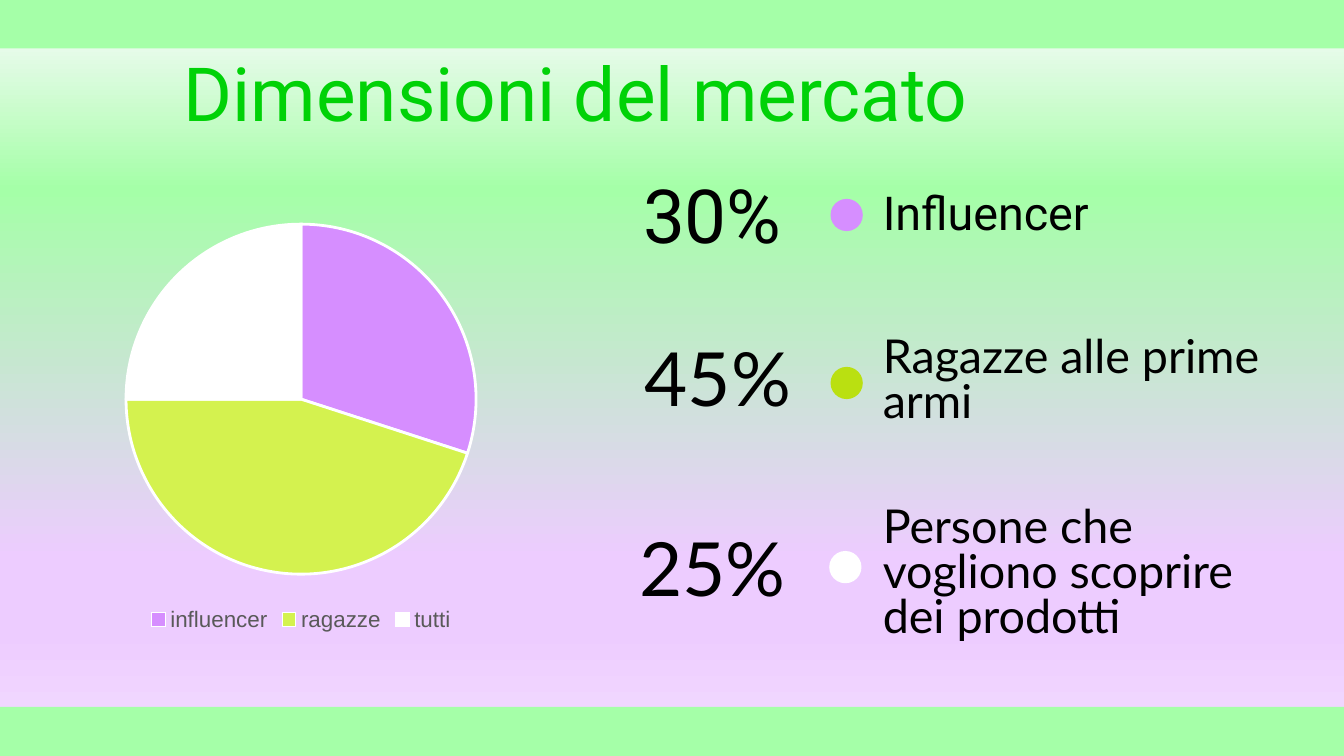
import pptx
import pptx.chart.data
import pptx.dml.color
import pptx.enum.chart
import pptx.enum.shapes
import pptx.enum.text
import pptx.oxml
import pptx.oxml.ns
import pptx.util
from dataclasses import dataclass

Pt = pptx.util.Pt
Anchor = pptx.enum.text.MSO_ANCHOR
Align = pptx.enum.text.PP_ALIGN
Shape = pptx.enum.shapes.MSO_SHAPE


@dataclass(frozen=True)
class Theme:
    green: str = "A5FFA8"
    title: str = "00D207"
    ink: str = "000000"
    legend: str = "595959"
    violet: str = "D68EFF"
    lime: str = "D4F24F"
    olive: str = "BAE011"
    white: str = "FFFFFF"
    large: int = 40
    body: int = 25
    small: int = 12
    inset: float = 7.2
    spacing: float = 0.8


THEME = Theme()
WIDTH, HEIGHT, BAND = 720, 405, 27.36
BACKGROUND = [(0, "FDF9FF"), (25, THEME.green), (74, "EDCCFF"), (83, "EDCCFF"), (100, "F3DDFF")]
TITLE = ("Dimensioni del mercato", (91.44, 27.36, 607.68, 39.6))
CHART_BOX = (38.88, 110.16, 244.8, 231.12)
SLICES = [("influencer", 30, THEME.violet), ("ragazze", 45, THEME.lime), ("tutti", 25, THEME.white)]
DOT = 17.28
SEGMENTS = [
    {"share": "30%", "share_box": (321.84, 92.88, 119.52, 51.84),
     "label": "Influencer", "label_box": (465.84, 83.52, 198, 51.84),
     "dot": (444.96, 106.56), "color": THEME.violet, "font": "Roboto"},
    {"share": "45%", "share_box": (321.84, 166.32, 125.28, 79.92),
     "label": "Ragazze alle prime armi", "label_box": (465.84, 176.4, 243.36, 59.76),
     "dot": (444.96, 196.56), "color": THEME.olive, "font": "Lato"},
    {"share": "25%", "share_box": (327.6, 275.04, 108, 65.52),
     "label": "Persone che vogliono scoprire dei prodotti", "label_box": (465.84, 271.44, 238.32, 79.92),
     "dot": (444.24, 295.2), "color": THEME.white, "font": "Lato"},
]


def rgb(color):
    return pptx.dml.color.RGBColor.from_string(color)


def points(box):
    return [Pt(length) for length in box]


def add_text(slide, text, box, *, size, font="Roboto", color=THEME.ink, anchor=Anchor.TOP, align=Align.LEFT):
    frame = slide.shapes.add_textbox(*points(box)).text_frame
    frame.word_wrap = True
    frame.vertical_anchor = anchor
    frame.margin_left = frame.margin_right = frame.margin_top = frame.margin_bottom = Pt(THEME.inset)
    paragraph = frame.paragraphs[0]
    paragraph.alignment = align
    paragraph.line_spacing = THEME.spacing
    run = paragraph.add_run()
    run.text = text
    run.font.size = Pt(size)
    run.font.name = font
    run.font.color.rgb = rgb(color)


def add_plain(slide, preset, box, color):
    plain = slide.shapes.add_shape(preset, *points(box))
    plain.shadow.inherit = False
    plain.fill.solid()
    plain.fill.fore_color.rgb = rgb(color)
    plain.line.fill.background()


def paint_background(slide):
    fill = slide.background.fill
    fill.gradient()
    fill.gradient_angle = 270
    stops = slide.element.find(".//" + pptx.oxml.ns.qn("a:gsLst"))
    for stop in list(stops):
        stops.remove(stop)
    for position, color in BACKGROUND:
        stops.append(pptx.oxml.parse_xml(
            f'<a:gs {pptx.oxml.ns.nsdecls("a")} pos="{position * 1000}"><a:srgbClr val="{color}"/></a:gs>'))


def add_pie(slide):
    market = pptx.chart.data.CategoryChartData()
    market.categories = [name for name, _, _ in SLICES]
    market.add_series("Series 1", [share for _, share, _ in SLICES])
    pie = slide.shapes.add_chart(pptx.enum.chart.XL_CHART_TYPE.PIE, *points(CHART_BOX), market).chart
    pie.has_title = False
    pie.has_legend = True
    pie.legend.position = pptx.enum.chart.XL_LEGEND_POSITION.BOTTOM
    pie.legend.include_in_layout = False
    for font, color in ((pie.font, THEME.ink), (pie.legend.font, THEME.legend)):
        font.name = "Arial"
        font.size = Pt(THEME.small)
        font.color.rgb = rgb(color)
    pie.plots[0].vary_by_categories = True
    for index, (_, _, color) in enumerate(SLICES):
        look = pie.plots[0].series[0].points[index].format
        look.fill.solid()
        look.fill.fore_color.rgb = rgb(color)
        look.line.color.rgb = rgb(THEME.white)
        look.line.width = Pt(1.5)


def main():
    """Build the market size slide and save it."""
    deck = pptx.Presentation()
    deck.slide_width, deck.slide_height = Pt(WIDTH), Pt(HEIGHT)
    slide = deck.slides.add_slide(deck.slide_layouts[6])
    paint_background(slide)
    for top in (-1.44, 378.72):
        add_plain(slide, Shape.RECTANGLE, (0, top, WIDTH, BAND), THEME.green)
    add_text(slide, *TITLE, size=THEME.large, color=THEME.title)
    for segment in SEGMENTS:
        add_text(slide, segment["label"], segment["label_box"], size=THEME.body,
                 font=segment["font"], anchor=Anchor.BOTTOM)
        add_plain(slide, Shape.OVAL, (*segment["dot"], DOT, DOT), segment["color"])
        add_text(slide, segment["share"], segment["share_box"], size=THEME.large,
                 font=segment["font"], anchor=Anchor.MIDDLE, align=Align.CENTER)
    add_pie(slide)
    deck.save("out.pptx")


if __name__ == "__main__":
    main()
